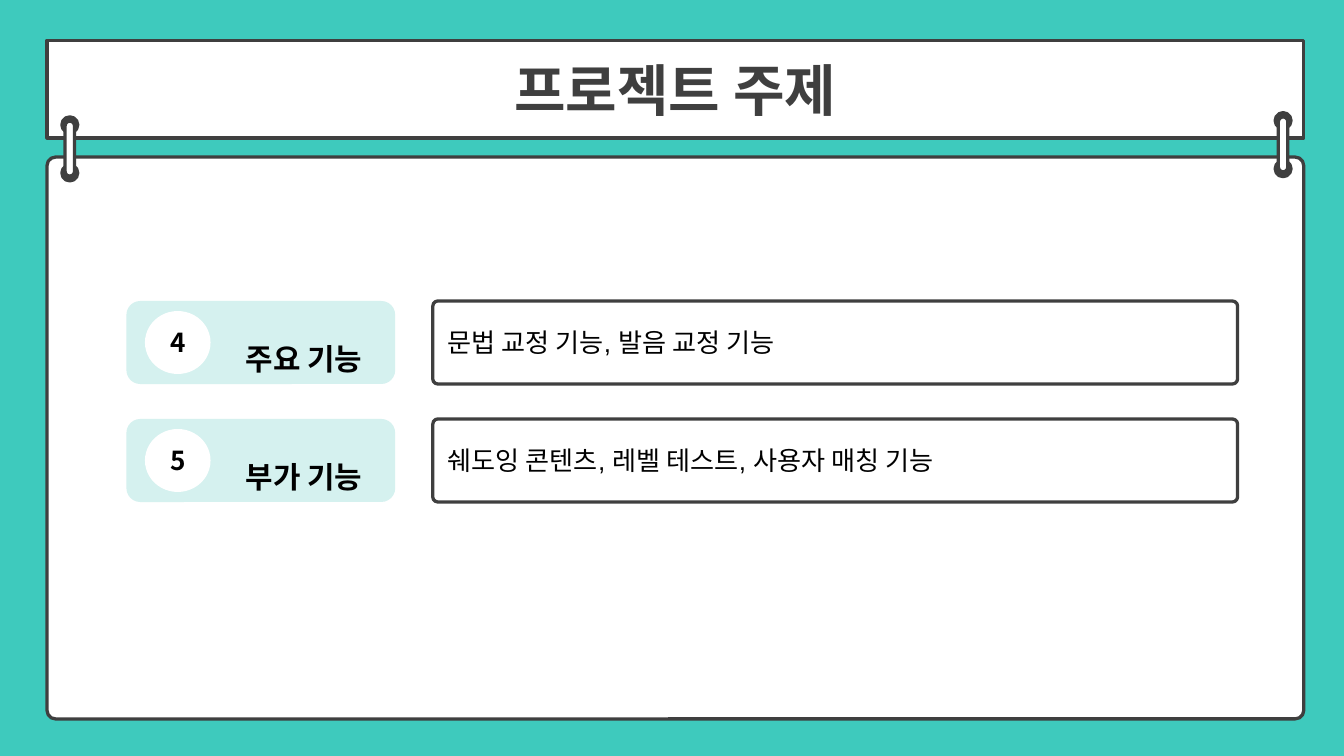
"""Build a notebook-style slide listing the project's features."""
from dataclasses import dataclass

import lxml.etree
import pptx
import pptx.dml.color
import pptx.enum.shapes
import pptx.enum.text
import pptx.oxml.ns
import pptx.util

Cm = pptx.util.Cm
Pt = pptx.util.Pt
qn = pptx.oxml.ns.qn
RGB = pptx.dml.color.RGBColor.from_string
MSO = pptx.enum.shapes.MSO_SHAPE
ANCHOR = pptx.enum.text.MSO_ANCHOR
ALIGN = pptx.enum.text.PP_ALIGN


@dataclass(frozen=True)
class Theme:
    teal: str = "3ECABD"
    mint: str = "D5F1EF"
    white: str = "FFFFFF"
    ink: str = "3F3F3F"
    black: str = "000000"
    latin: str = "Arial"
    korean: str = "Noto Sans CJK KR"
    title: float = 30
    label: float = 16
    body: float = 14
    line: float = 1.75


@dataclass(frozen=True)
class Box:
    x: float
    y: float
    w: float
    h: float

    def lengths(self):
        return Cm(self.x), Cm(self.y), Cm(self.w), Cm(self.h)


@dataclass(frozen=True)
class Ring:
    x: float
    y: float


@dataclass(frozen=True)
class Feature:
    number: str
    label: str
    detail: str


T = Theme()
HEADER = Box(0.89, 0.76, 23.75, 1.85)
PAGE = Box(0.89, 2.97, 23.75, 10.62)
RINGS = [Ring(1.17, 2.21), Ring(24.1, 2.13)]
FEATURES = [
    Feature("4", "주요 기능", "문법 교정 기능, 발음 교정 기능"),
    Feature("5", "부가 기능", "쉐도잉 콘텐츠, 레벨 테스트, 사용자 매칭 기능"),
]
ROW_TOP, ROW_PITCH = 5.69, 2.23


def paint(sp, fill: str, outlined: bool) -> None:
    sp.fill.solid()
    sp.fill.fore_color.rgb = RGB(fill)
    if outlined:
        sp.line.color.rgb = RGB(T.ink)
        sp.line.width = Pt(T.line)
    else:
        sp.line.fill.background()


def write(sp, text: str, *, size: float = T.body, font: str = T.latin,
          color: str = T.black, bold: bool = False, align=ALIGN.LEFT,
          anchor=ANCHOR.MIDDLE, inset: tuple = (0.25, 0.25), spacing: float = 1.0) -> None:
    tf = sp.text_frame
    tf.word_wrap = True
    tf.auto_size = pptx.enum.text.MSO_AUTO_SIZE.NONE
    tf.vertical_anchor = anchor
    tf.margin_left = tf.margin_right = Cm(inset[0])
    tf.margin_top = tf.margin_bottom = Cm(inset[1])
    p = tf.paragraphs[0]
    p.alignment = align
    p.line_spacing = spacing
    r = p.add_run()
    r.text = text
    r.font.size = Pt(size)
    r.font.name = font
    r.font.bold = bold
    r.font.color.rgb = RGB(color)
    ea = lxml.etree.SubElement(r.font._element, qn("a:ea"))
    ea.set("typeface", T.korean)


def add_shape(shapes, box: Box, fill: str, *, kind=MSO.ROUNDED_RECTANGLE,
              radius: float = 0.5, outlined: bool = False):
    sp = shapes.add_shape(kind, *box.lengths())
    sp.shadow.inherit = False
    if kind == MSO.ROUNDED_RECTANGLE:
        sp.adjustments[0] = radius
    paint(sp, fill, outlined)
    return sp


def add_header(s, text: str) -> None:
    sp = s.shapes.title
    sp.left, sp.top, sp.width, sp.height = HEADER.lengths()
    geom = lxml.etree.SubElement(sp.element.spPr, qn("a:prstGeom"), prst="roundRect")
    guides = lxml.etree.SubElement(geom, qn("a:avLst"))
    lxml.etree.SubElement(guides, qn("a:gd"), name="adj", fmla="val 8900")
    paint(sp, T.white, True)
    write(sp, text, size=T.title, color=T.ink, bold=True,
          align=ALIGN.CENTER, inset=(0.18, 0.1))


def add_ring(s, ring: Ring) -> None:
    shapes = s.shapes.add_group_shape().shapes
    for dy in (0, 0.91):
        add_shape(shapes, Box(ring.x, ring.y + dy, 0.3, 0.3), T.ink, outlined=True)
    add_shape(shapes, Box(ring.x + 0.06, ring.y + 0.08, 0.18, 1.04), T.white, outlined=True)


def add_feature(s, feature: Feature, y: float) -> None:
    shapes = s.shapes.add_group_shape().shapes
    add_shape(shapes, Box(2.39, y, 5.08, 1.57), T.mint, radius=0.167)
    add_shape(shapes, Box(2.74, y + 0.19, 1.24, 1.19), T.white, kind=MSO.OVAL)
    number = shapes.add_textbox(*Box(2.97, y + 0.23, 0.76, 1.14).lengths())
    write(number, feature.number, font=T.korean, bold=True, anchor=ANCHOR.TOP)
    label = shapes.add_textbox(*Box(4.47, y + 0.32, 3.71, 0.94).lengths())
    write(label, feature.label, size=T.label, font=T.korean, bold=True,
          anchor=ANCHOR.TOP, inset=(0.18, 0.1), spacing=1.5)
    detail = add_shape(s.shapes, Box(8.18, y, 15.21, 1.57), T.white,
                       radius=0.063, outlined=True)
    write(detail, feature.detail)


def main() -> None:
    prs = pptx.Presentation()
    prs.slide_width, prs.slide_height = Cm(25.4), Cm(14.29)
    s = prs.slides.add_slide(prs.slide_layouts.get_by_name("Title Only"))
    s.background.fill.solid()
    s.background.fill.fore_color.rgb = RGB(T.teal)
    add_header(s, "프로젝트 주제")
    add_shape(s.shapes, PAGE, T.white, radius=0.015, outlined=True)
    for ring in RINGS:
        add_ring(s, ring)
    for i, feature in enumerate(FEATURES):
        add_feature(s, feature, ROW_TOP + i * ROW_PITCH)
    prs.save("out.pptx")


if __name__ == "__main__":
    main()
